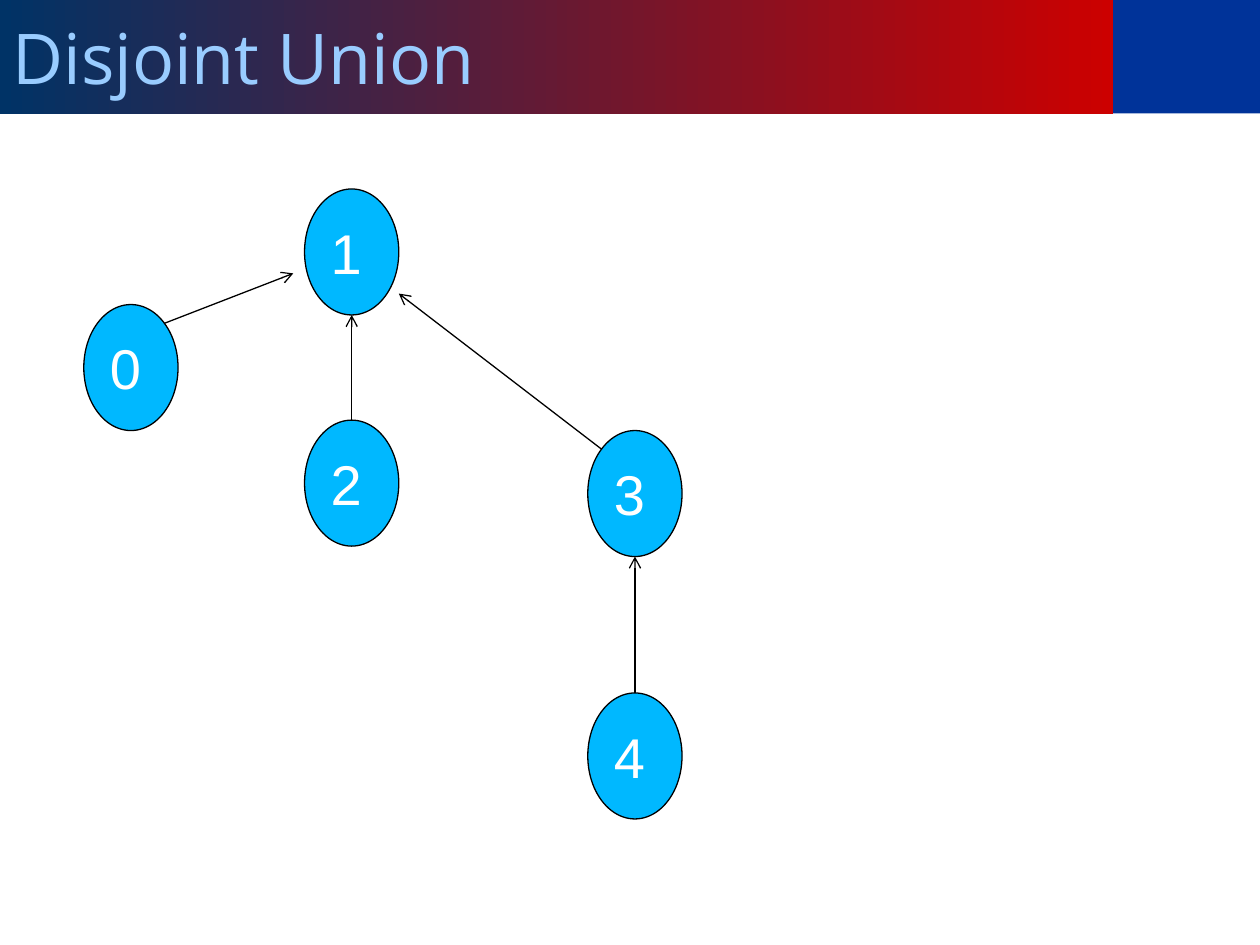
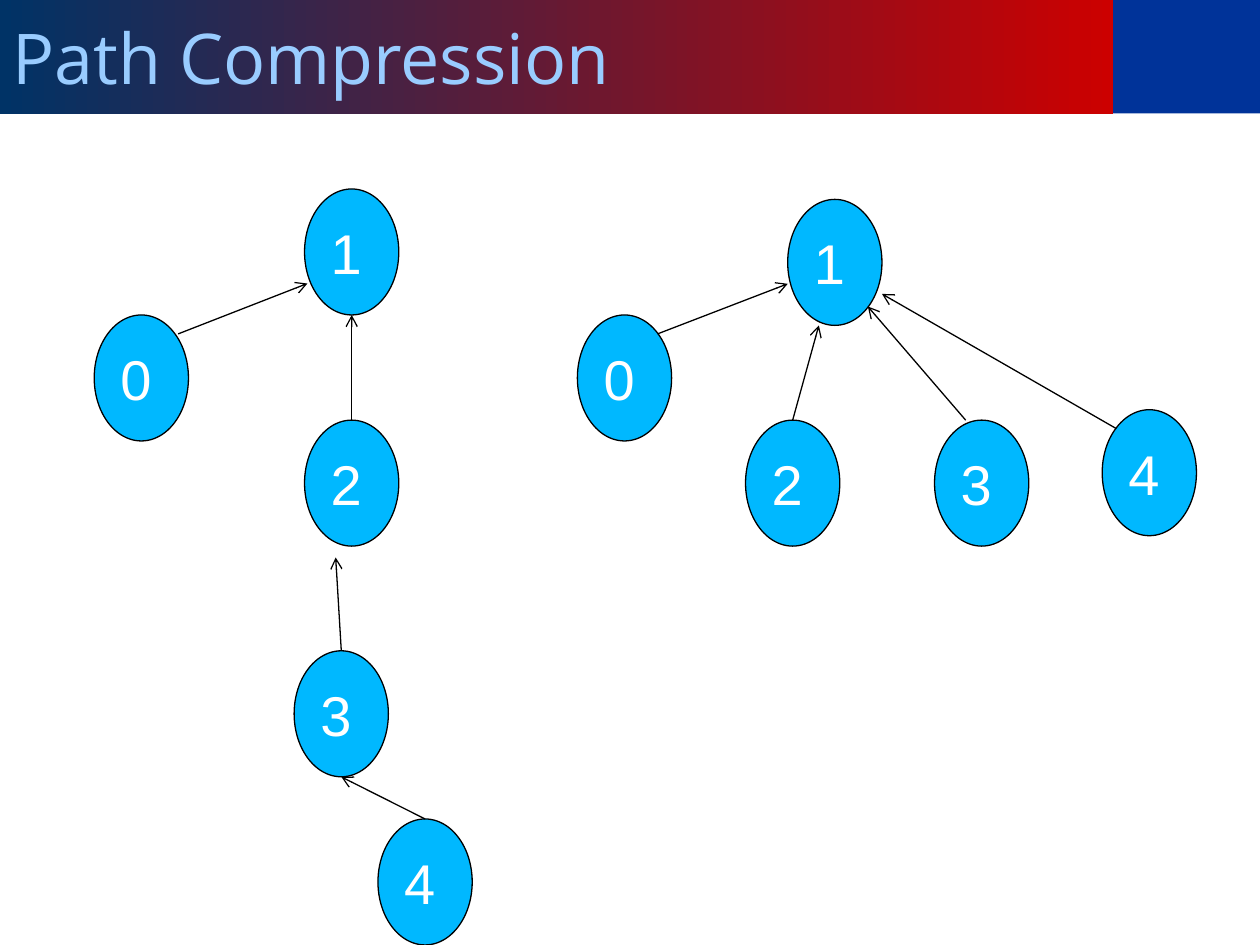
from pptx import Presentation
from pptx.dml.color import RGBColor
from pptx.enum.shapes import MSO_CONNECTOR, MSO_SHAPE
from pptx.enum.text import MSO_ANCHOR, PP_ALIGN
from pptx.oxml.ns import qn
from pptx.util import Cm, Pt
from lxml.etree import SubElement

SLIDE_WIDTH, SLIDE_HEIGHT = 25.4, 19.05
TITLE_WIDTH, BAND_HEIGHT = 22.44, 2.29
NODE_WIDTH, NODE_HEIGHT = 1.9, 2.54

# Points on a node, as fractions of its width and height
TOP, BOTTOM = (0.5, 0), (0.5, 1)
TOP_LEFT, TOP_RIGHT, BOTTOM_RIGHT = (0.15, 0.15), (0.85, 0.15), (0.85, 0.85)


def color(value):
    """Turn a hex string into a colour."""
    return RGBColor.from_string(value)


class Deck:
    """Holds the style and the current slide."""

    NAVY, RED, BLUE = "003366", "CC0000", "003399"
    TITLE_TEXT, NODE_FILL, NODE_TEXT, OUTLINE = "99CCFF", "00B8FF", "FFFFFF", "000000"
    TITLE_FONT, NODE_FONT = "Open Sans", "Arial"

    def __init__(self):
        """Start an empty presentation."""
        self.presentation = Presentation()
        self.presentation.slide_width = Cm(SLIDE_WIDTH)
        self.presentation.slide_height = Cm(SLIDE_HEIGHT)
        self.slide = None

    def add_slide(self, heading):
        """Add a slide with its title and corner block."""
        self.slide = self.presentation.slides.add_slide(
            self.presentation.slide_layouts[5])
        self.title(heading)
        self.corner()

    def label(self, frame, text, font, size, text_color):
        """Set one left-aligned, vertically centred line."""
        frame.text = text
        frame.vertical_anchor = MSO_ANCHOR.MIDDLE
        line = frame.paragraphs[0]
        line.alignment = PP_ALIGN.LEFT
        style = line.runs[0].font
        style.name, style.size = font, Pt(size)
        style.color.rgb = color(text_color)

    def title(self, heading):
        """Place the title on its gradient band."""
        band = self.slide.shapes.title
        band.left, band.top = Cm(0), Cm(0)
        band.width, band.height = Cm(TITLE_WIDTH), Cm(BAND_HEIGHT)
        band.fill.gradient()
        band.fill.gradient_angle = 180
        for stop, shade in zip(band.fill.gradient_stops, (self.RED, self.NAVY)):
            stop.color.rgb = color(shade)
        self.label(band.text_frame, heading, self.TITLE_FONT, 40, self.TITLE_TEXT)

    def corner(self):
        """Fill the band to the right of the title."""
        block = self.slide.shapes.add_shape(
            MSO_SHAPE.RECTANGLE, Cm(TITLE_WIDTH), Cm(0),
            Cm(SLIDE_WIDTH - TITLE_WIDTH), Cm(BAND_HEIGHT))
        block.shadow.inherit = False
        block.fill.solid()
        block.fill.fore_color.rgb = color(self.BLUE)
        block.line.fill.background()

    def node(self, key, left, top):
        """Draw one labelled tree node."""
        circle = self.slide.shapes.add_shape(
            MSO_SHAPE.OVAL, Cm(left), Cm(top), Cm(NODE_WIDTH), Cm(NODE_HEIGHT))
        circle.shadow.inherit = False
        circle.fill.solid()
        circle.fill.fore_color.rgb = color(self.NODE_FILL)
        self.outline(circle.line)
        self.label(circle.text_frame, key, self.NODE_FONT, 32, self.NODE_TEXT)

    def outline(self, line):
        """Give a line the thin black style."""
        line.color.rgb = color(self.OUTLINE)
        line.width = Pt(0.75)

    def arrow(self, start, end):
        """Draw an open arrow between two points."""
        link = self.slide.shapes.add_connector(
            MSO_CONNECTOR.STRAIGHT, *(Cm(value) for value in start + end))
        self.outline(link.line)
        properties = link._element.spPr
        SubElement(properties.get_or_add_ln(), qn("a:tailEnd"), type="arrow")
        SubElement(properties, qn("a:effectLst"))

    def tree(self, nodes, edges):
        """Draw nodes and the arrows from each child to its parent."""
        def point(key, fraction):
            """Locate a fraction of a node on the slide."""
            left, top = nodes[key]
            return left + fraction[0] * NODE_WIDTH, top + fraction[1] * NODE_HEIGHT

        for key, place in nodes.items():
            self.node(key, *place)
        for child, exit_point, parent, entry_point in edges:
            self.arrow(point(child, exit_point), point(parent, entry_point))


deck = Deck()

deck.add_slide("Disjoint Union")
deck.tree(
    {"4": (11.85, 13.97), "3": (11.85, 8.68), "2": (6.14, 8.47),
     "1": (6.14, 3.81), "0": (1.69, 6.14)},
    [("2", TOP, "1", BOTTOM),
     ("4", TOP, "3", BOTTOM),
     ("0", TOP_RIGHT, "1", (-0.12, 0.67)),
     ("3", TOP_LEFT, "1", (1, 0.83))])

deck.add_slide("Path Compression")
# Before compression: a chain of parents
deck.tree(
    {"4": (7.62, 16.51), "3": (5.93, 13.12), "2": (6.14, 8.47),
     "1": (6.14, 3.81), "0": (1.9, 6.35)},
    [("2", TOP, "1", BOTTOM),
     ("4", TOP, "3", BOTTOM),
     ("3", TOP, "2", (0.33, 1.09)),
     ("0", (0.89, 0.15), "1", (0.03, 0.75))])
# After compression: every node points at the root
deck.tree(
    {"0": (11.64, 6.35), "1": (15.88, 4.02), "4": (22.22, 8.26),
     "3": (18.84, 8.47), "2": (15.03, 8.47)},
    [("0", TOP_RIGHT, "1", (0, 0.67)),
     ("2", TOP, "1", (0.33, 1)),
     ("3", (0.33, 0), "1", BOTTOM_RIGHT),
     ("4", TOP_LEFT, "1", (1, 0.75))])

deck.presentation.save("out.pptx")
